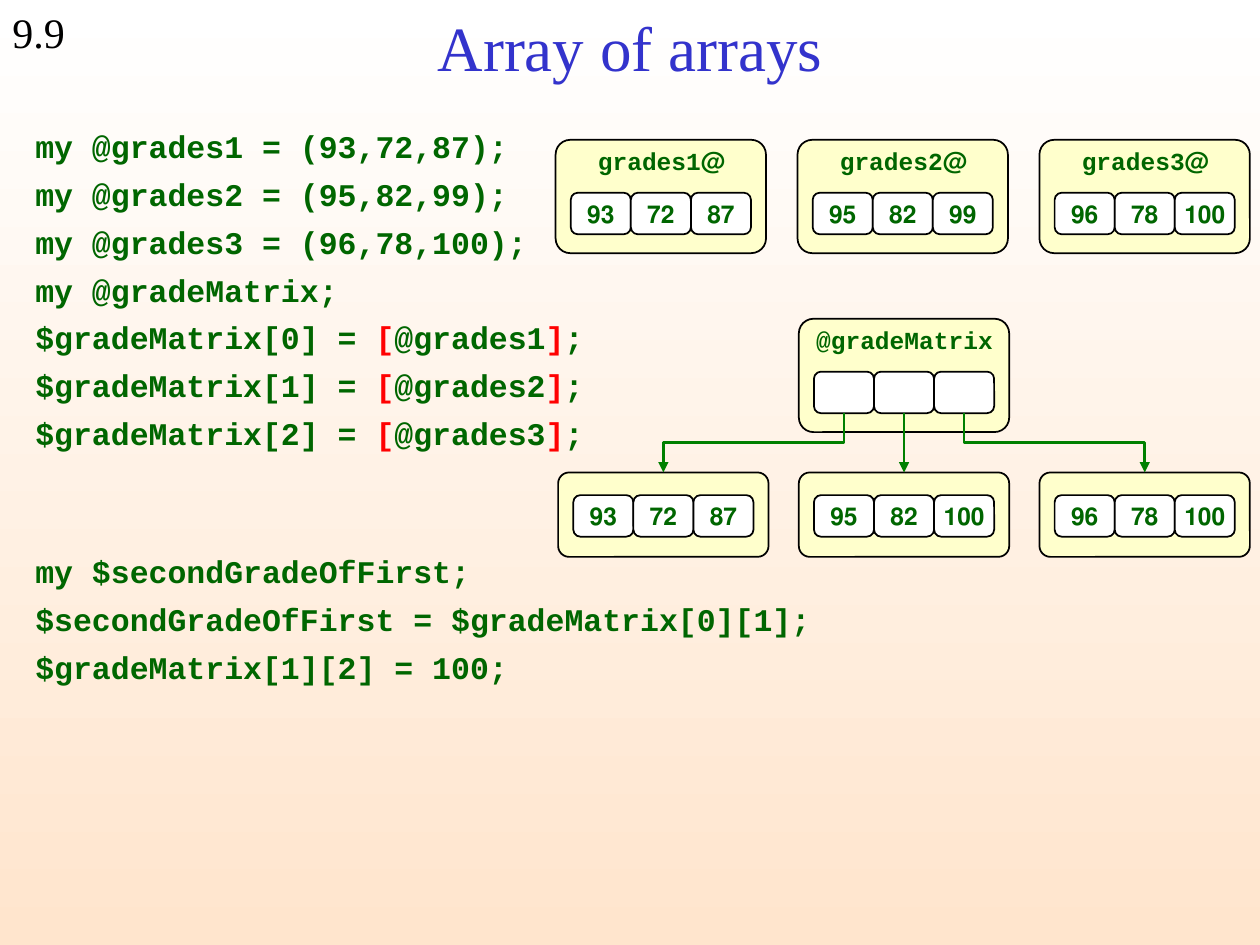
import dataclasses

import pptx
import pptx.dml.color
import pptx.enum.shapes
import pptx.enum.text
import pptx.oxml.ns
import pptx.util

Inches = pptx.util.Inches
Pt = pptx.util.Pt
qn = pptx.oxml.ns.qn
Kind = pptx.enum.shapes.MSO_SHAPE
Link = pptx.enum.shapes.MSO_CONNECTOR
Align = pptx.enum.text.PP_ALIGN
Anchor = pptx.enum.text.MSO_ANCHOR


@dataclasses.dataclass
class Theme:
    """Colours, fonts and type sizes of the slide."""
    ink: str = "000000"
    blue: str = "3333CC"
    green: str = "006600"
    red: str = "FF0101"
    arrow: str = "008000"
    cream: str = "FFFFCC"
    white: str = "FFFFFF"
    peach: str = "FFE5CD"
    serif: str = "Times New Roman"
    mono: str = "Courier New"
    head: int = 36
    page: int = 24
    code: int = 18
    label: int = 14


class Deck:
    """Holds the theme and the current slide and draws each kind of element."""

    def __init__(self, theme):
        self.theme = theme
        self.show = pptx.Presentation()
        self.show.slide_width, self.show.slide_height = Inches(10), Inches(7.5)
        self.slide = self.show.slides.add_slide(self.show.slide_layouts[1])

    def tint(self, name):
        return pptx.dml.color.RGBColor.from_string(name)

    def back(self):
        fill = self.slide.background.fill
        fill.gradient()
        fill.gradient_angle = 270
        for stop, name in zip(fill.gradient_stops, (self.theme.white, self.theme.peach)):
            stop.color.rgb = self.tint(name)

    def place(self, shape, x, y, w, h):
        shape.left, shape.top = Inches(x), Inches(y)
        shape.width, shape.height = Inches(w), Inches(h)

    def tag(self, node, name, **attrs):
        node.append(node.makeelement(qn(name), attrs))

    def put(self, para, text, face, size, name, bold=False):
        run = para.add_run()
        run.text = text
        run.font.name, run.font.size, run.font.bold = face, Pt(size), bold
        run.font.color.rgb = self.tint(name)

    def title(self, text):
        shape = self.slide.shapes.title
        self.place(shape, 0.75, 0.04, 8.5, 0.66)
        shape.text_frame.vertical_anchor = Anchor.MIDDLE
        para = shape.text_frame.paragraphs[0]
        para.alignment = Align.CENTER
        self.put(para, text, self.theme.serif, self.theme.head, self.theme.blue)

    def code(self, rows, gap):
        shape = self.slide.placeholders[1]
        self.place(shape, 0.18, 0.9, 9.74, 3.96)
        frame = shape.text_frame
        frame.auto_size = pptx.enum.text.MSO_AUTO_SIZE.NONE
        for i, row in enumerate(rows):
            para = frame.add_paragraph() if i else frame.paragraphs[0]
            props = para._p.get_or_add_pPr()
            props.set("marL", "0")
            props.set("indent", "0")
            self.tag(props, "a:buNone")
            para.line_spacing = 1.2
            para.space_before = Pt(53.2 if i == gap else 1.4 if i else 0)
            for text in row:
                name = self.theme.red if text in ("[", "]") else self.theme.green
                self.put(para, text, self.theme.mono, self.theme.code, name, True)

    def text(self, shapes, text, x, y, w, h, face, size, name, bold=False):
        frame = shapes.add_textbox(Inches(x), Inches(y), Inches(w), Inches(h)).text_frame
        frame.word_wrap = True
        self.put(frame.paragraphs[0], text, face, size, name, bold)
        return frame.paragraphs[0]

    def round(self, shapes, x, y, w, h, name, bend):
        shape = shapes.add_shape(Kind.ROUNDED_RECTANGLE, Inches(x), Inches(y), Inches(w), Inches(h))
        shape.adjustments[0] = bend
        shape.shadow.inherit = False
        shape.fill.solid()
        shape.fill.fore_color.rgb = self.tint(name)
        shape.line.color.rgb = self.tint(self.theme.ink)
        shape.line.width = Pt(1)
        return shape

    def flip(self, para):
        para._p.get_or_add_pPr().set("rtl", "1")

    def array(self, x, y, marks, label="", rtl=True):
        shapes = self.slide.shapes.add_group_shape().shapes
        high, drop = (0.9, 0.42) if label else (0.67, 0.18)
        box = self.round(shapes, x, y, 1.67, high, self.theme.cream, 0.13)
        if label:
            para = self.text(shapes, label, x - 0.31, y, 2.3, 0.34,
                             self.theme.mono, self.theme.label, self.theme.green, True)
            para.alignment = Align.CENTER
            if rtl:
                self.flip(para)
        wide = 1.43 / len(marks)
        cells = []
        for i, mark in enumerate(marks):
            cell = self.round(shapes, x + 0.12 + i * wide, y + drop, wide, 0.33,
                              self.theme.white, 0.17)
            cells.append(cell)
            if mark:
                frame = cell.text_frame
                frame.word_wrap = False
                frame.vertical_anchor = Anchor.MIDDLE
                para = frame.paragraphs[0]
                para.alignment = Align.CENTER
                self.flip(para)
                self.put(para, mark, self.theme.mono, self.theme.label, self.theme.green, True)
        return box, cells

    def arrow(self, cell, box):
        x1, y1 = cell.left + cell.width // 2, cell.top + cell.height
        x2, y2 = box.left + box.width // 2, box.top
        bent = abs(x2 - x1) > Inches(0.1)
        line = self.slide.shapes.add_connector(Link.ELBOW if bent else Link.STRAIGHT, x1, y1, x2, y2)
        line.begin_connect(cell, 2)
        line.end_connect(box, 0)
        props = line._element.spPr
        if bent:
            line.width, line.height = y2 - y1, abs(x2 - x1)
            line.left = (x1 + x2 - line.width) // 2
            line.top = (y1 + y2 - line.height) // 2
            right = x2 > x1
            frame = props.find(qn("a:xfrm"))
            frame.set("rot", str((270 if right else 90) * 60000))
            frame.set("flipH", str(int(right)))
            frame.set("flipV", "0")
        line.line.color.rgb = self.tint(self.theme.arrow)
        line.line.width = Pt(1.5)
        self.tag(props.find(qn("a:ln")), "a:tailEnd", type="triangle")
        self.tag(props, "a:effectLst")


def main():
    theme = Theme()
    deck = Deck(theme)
    deck.back()
    deck.text(deck.slide.shapes, "9.9", 0, 0, 1.14, 0.5, theme.serif, theme.page, theme.ink)
    deck.title("Array of arrays")

    grades = [["93", "72", "87"], ["95", "82", "99"], ["96", "78", "100"]]
    rows = [[f"my @grades{i} = ({','.join(row)});"] for i, row in enumerate(grades, 1)]
    rows.append(["my @gradeMatrix;"])
    rows += [[f"$gradeMatrix[{i}] = ", "[", f"@grades{i + 1}", "]", ";"] for i in range(3)]
    gap = len(rows)
    rows += [["my $secondGradeOfFirst;"],
             ["$secondGradeOfFirst = $gradeMatrix[0][1];"],
             ["$gradeMatrix[1][2] = 100;"]]
    deck.code(rows, gap)

    for i, row in enumerate(grades):
        deck.array(4.41 + 1.92 * i, 1.11, row, f"@grades{i + 1}")
    cells = deck.array(6.34, 2.53, [""] * 3, "@gradeMatrix", False)[1]
    grades[1][2] = "100"
    for i, row in enumerate(grades):
        box = deck.array(4.43 + 1.91 * i, 3.75, row)[0]
        deck.arrow(cells[i], box)
    deck.show.save("out.pptx")


if __name__ == "__main__":
    main()
